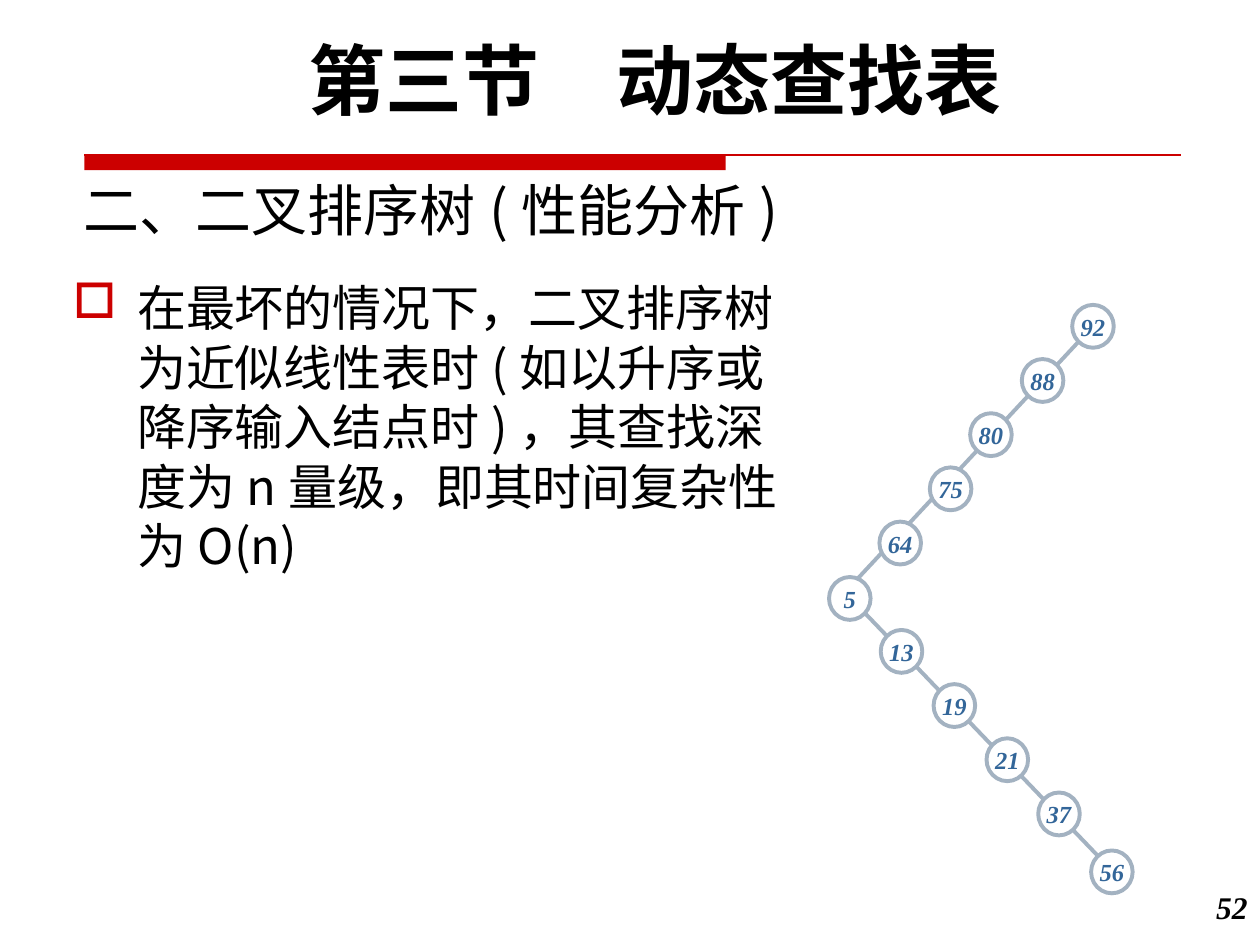
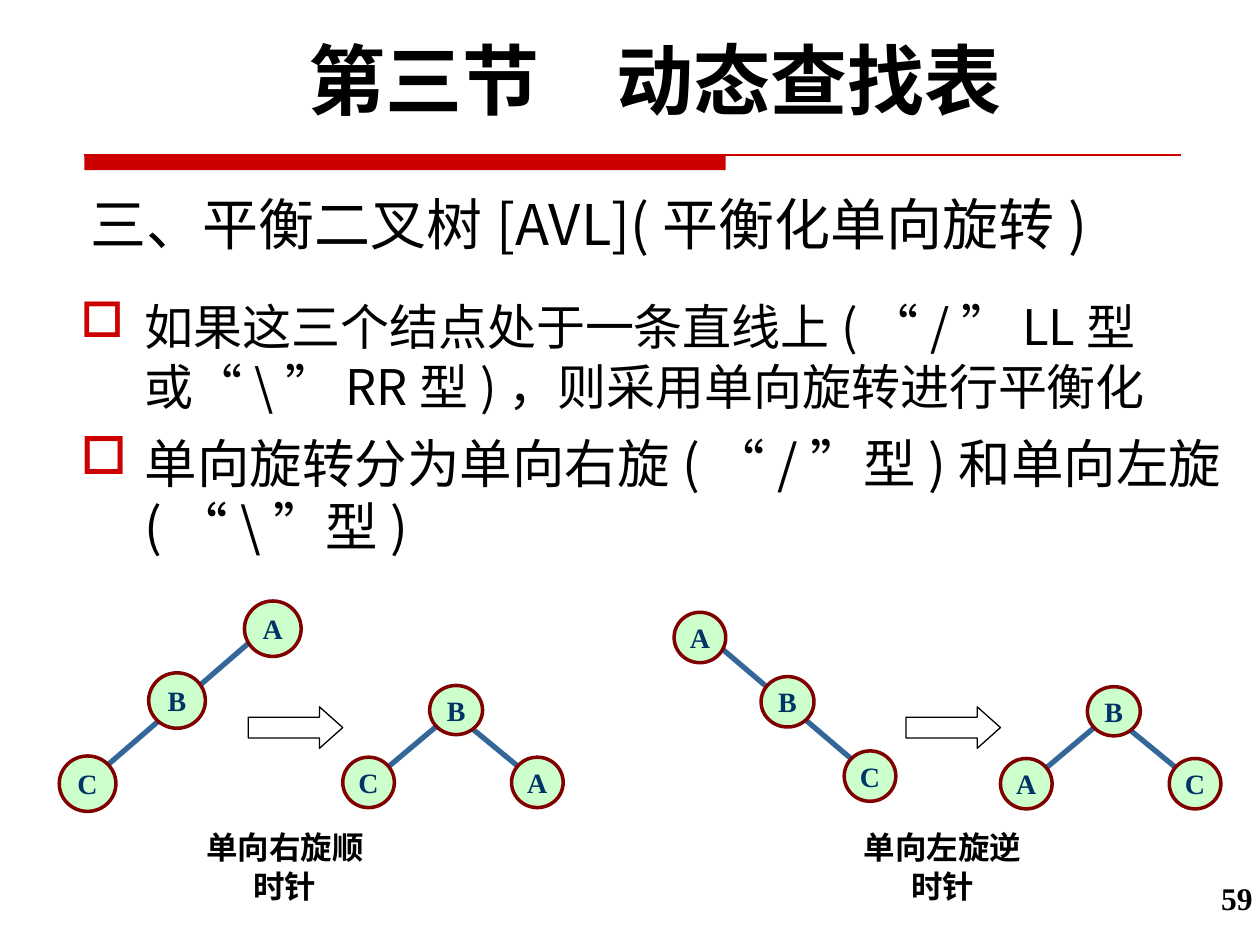
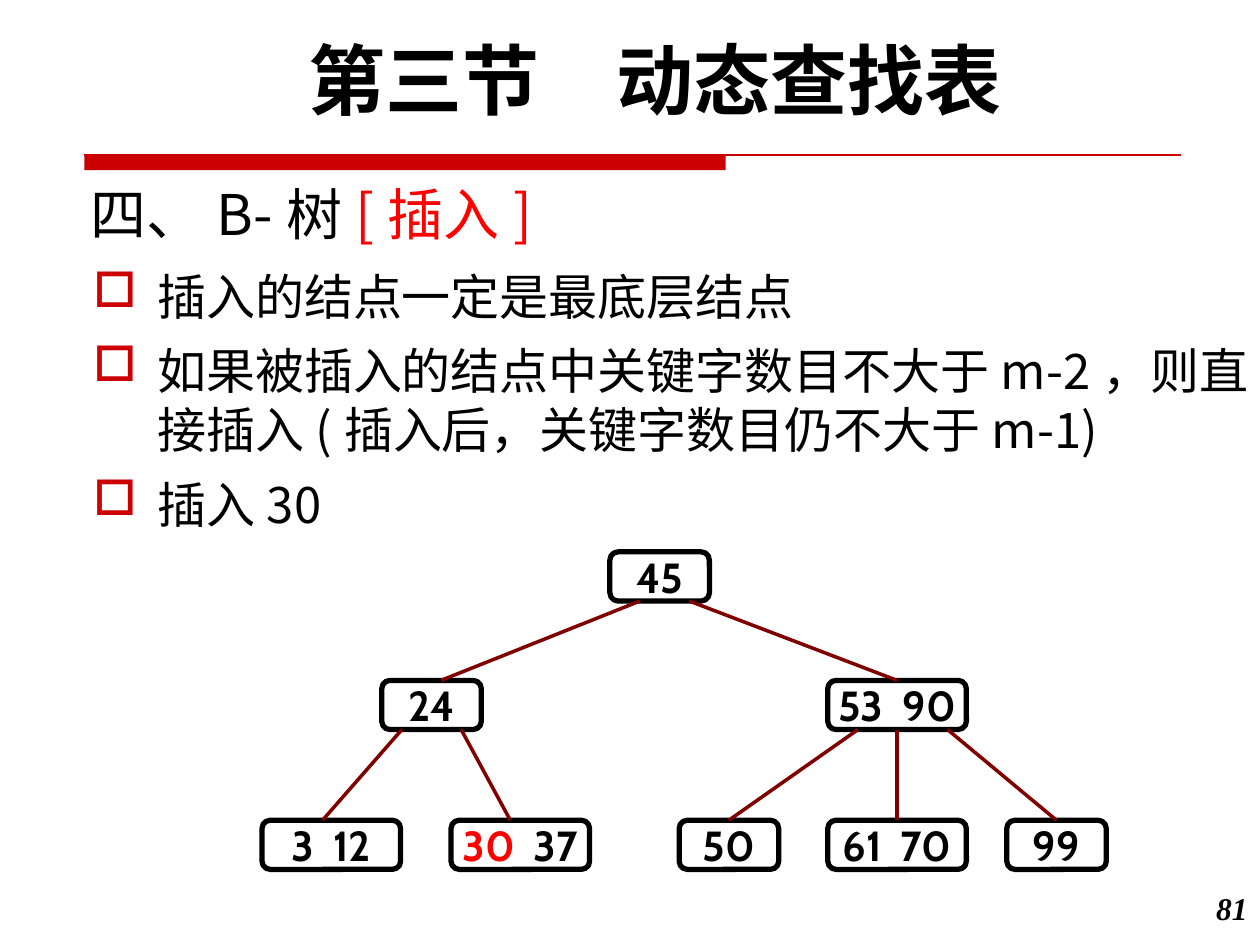
"""Build three slides on dynamic search tables."""
import itertools
from dataclasses import dataclass
from typing import NamedTuple

import lxml.etree
import pptx
import pptx.dml.color
import pptx.enum.shapes
import pptx.enum.text
import pptx.oxml.ns
import pptx.util

SCALE = 9144
KIND = pptx.enum.shapes.MSO_SHAPE
ALIGN = pptx.enum.text.PP_ALIGN
ANCHOR = pptx.enum.text.MSO_ANCHOR


@dataclass(frozen=True)
class Theme:
    """Colours, fonts and type sizes of the deck."""
    black: str = "000000"
    white: str = "FFFFFF"
    band: str = "CC0000"
    red: str = "FF0000"
    grey: str = "A3B2C1"
    blue: str = "336699"
    navy: str = "003366"
    mint: str = "CCFFCC"
    maroon: str = "800000"
    sans: str = "Noto Sans CJK SC"
    serif: str = "Times New Roman"
    round: str = "Cabin"
    banner: int = 44
    head: int = 32
    large: int = 30
    body: int = 28
    key: int = 24
    note: int = 18
    letter: int = 16
    digit: int = 14
    pitch: float = 1.21


THEME = Theme()


class Box(NamedTuple):
    """A place on the slide in px."""
    x: int
    y: int
    w: int
    h: int


class Line(NamedTuple):
    """A straight line in px."""
    x1: int
    y1: int
    x2: int
    y2: int


@dataclass(frozen=True)
class Type:
    """How a paragraph is set."""
    size: int
    font: str = THEME.sans
    color: str = THEME.black
    bold: bool = False
    slant: bool = False
    align: ALIGN = ALIGN.LEFT
    dot: bool = False


@dataclass(frozen=True)
class Para:
    """A paragraph, with an optional red part."""
    text: str
    type: Type
    red: str = ""


@dataclass(frozen=True)
class Style:
    """The look of a node and its links."""
    kind: KIND
    fill: str
    edge: str
    width: float
    link: str
    weight: float
    type: Type


class Node(NamedTuple):
    """A tree node with its label."""
    text: str
    box: Box
    red: str = ""


class Branch(NamedTuple):
    """A link from a parent's lower side to a child's upper side."""
    top: str
    low: str
    x1: int
    x2: int


BANNER = Type(THEME.banner, THEME.round, bold=True, align=ALIGN.CENTER)
HEAD = Type(THEME.head)
ITEM = Type(THEME.body, dot=True)
LARGE = Type(THEME.large, dot=True)
NOTE = Type(THEME.note, THEME.serif, bold=True, align=ALIGN.CENTER)
CHAIN = Style(KIND.OVAL, THEME.white, THEME.grey, 2.25, THEME.grey, 2.25,
              Type(THEME.digit, THEME.serif, THEME.blue, True, True, ALIGN.CENTER))
TURN = Style(KIND.OVAL, THEME.mint, THEME.maroon, 2, THEME.blue, 3,
             Type(THEME.letter, THEME.serif, THEME.navy, True, align=ALIGN.CENTER))
BTREE = Style(KIND.ROUNDED_RECTANGLE, "", THEME.black, 3, THEME.maroon, 2,
              Type(THEME.key, THEME.round, bold=True, align=ALIGN.CENTER))


def emu(*sizes: float) -> list[int]:
    """Turn px into EMU."""
    return [round(size * SCALE) for size in sizes]


def rgb(color: str) -> pptx.dml.color.RGBColor:
    """Read a hex colour."""
    return pptx.dml.color.RGBColor.from_string(color)


def add_tag(node, name: str, **pairs: str):
    """Append a drawing element to a node."""
    tag = lxml.etree.SubElement(node, pptx.oxml.ns.qn(name))
    for key, value in pairs.items():
        tag.set(key, value)
    return tag


def add_dot(para) -> None:
    """Give a paragraph its square bullet."""
    props = para._p.get_or_add_pPr()
    left = emu(51)[0]
    props.set("marL", str(left))
    props.set("indent", str(-left))
    add_tag(add_tag(props, "a:buClr"), "a:srgbClr", val=THEME.band)
    add_tag(props, "a:buChar", char="□")


def set_type(para, kind: Type) -> None:
    """Set the font and spacing of a paragraph."""
    para.alignment = kind.align
    para.line_spacing = pptx.util.Pt(round(kind.size * THEME.pitch))
    if kind.dot:
        add_dot(para)
    font = para.font
    font.size = pptx.util.Pt(kind.size)
    font.bold, font.italic = kind.bold, kind.slant
    font.color.rgb = rgb(kind.color)
    font.name = kind.font
    add_tag(font._element, "a:ea", typeface=THEME.sans)


def split(para: Para) -> list[str]:
    """Cut a text at its red part or its curly quotes."""
    if para.red:
        return [part for part in para.text.partition(para.red) if part]
    groups = itertools.groupby(para.text, lambda char: char in "“”")
    return ["".join(chars) for _, chars in groups]


def write(frame, *paras: Para) -> None:
    """Fill a text frame with paragraphs."""
    for rank, item in enumerate(paras):
        para = frame.add_paragraph() if rank else frame.paragraphs[0]
        if rank:
            para.space_before = pptx.util.Pt(round(item.type.size * 0.3, 1))
        set_type(para, item.type)
        for part in split(item):
            run = para.add_run()
            run.text = part
            if part == item.red:
                run.font.color.rgb = rgb(THEME.red)
            elif part in "“”":
                run.font.name = THEME.serif


def add_text(slide, box: Box, *paras: Para) -> None:
    """Add a wrapped text box."""
    frame = slide.shapes.add_textbox(*emu(*box)).text_frame
    frame.word_wrap = True
    write(frame, *paras)


def add_form(slide, kind: KIND, box: Box, fill: str, edge: str, width: float):
    """Add a plain preset shape."""
    form = slide.shapes.add_shape(kind, *emu(*box))
    form.shadow.inherit = False
    if fill:
        form.fill.solid()
        form.fill.fore_color.rgb = rgb(fill)
    else:
        form.fill.background()
    if edge:
        form.line.color.rgb = rgb(edge)
        form.line.width = pptx.util.Pt(width)
    else:
        form.line.fill.background()
    return form


def add_line(slide, line: Line, color: str, width: float):
    """Add a straight connector."""
    link = slide.shapes.add_connector(
        pptx.enum.shapes.MSO_CONNECTOR.STRAIGHT, *emu(*line))
    link.line.color.rgb = rgb(color)
    link.line.width = pptx.util.Pt(width)
    add_tag(link._element.spPr, "a:effectLst")
    return link


def add_node(slide, node: Node, style: Style):
    """Add a labelled tree node."""
    form = add_form(slide, style.kind, node.box, style.fill, style.edge, style.width)
    frame = form.text_frame
    frame.word_wrap = False
    frame.vertical_anchor = ANCHOR.MIDDLE
    write(frame, Para(node.text, style.type, node.red))
    return form


def add_tree(slide, style: Style, lines: list[Line], nodes: list[Node]) -> None:
    """Draw round nodes over their lines."""
    for line in lines:
        add_line(slide, line, style.link, style.weight)
    for node in nodes:
        add_node(slide, node, style)


def add_turn(slide, x: int, note: str) -> None:
    """Draw the arrow of a rotation and its note."""
    arrow = add_form(slide, KIND.RIGHT_ARROW, Box(x, 561, 75, 33), "", THEME.black, 0.75)
    arrow.adjustments[1] = 0.56
    add_text(slide, Box(x - 50, 652, 158, 71), Para(note, NOTE))


def add_fork(slide, x: int, y: int, left: str, right: str) -> None:
    """Draw a balanced tree with root B."""
    lines = [Line(x + 75, y + 32, x + 25, y + 74), Line(x + 100, y + 32, x + 145, y + 69)]
    nodes = [Node("B", Box(x + 69, y, 42, 39)),
             Node(left, Box(x, y + 57, 41, 40)),
             Node(right, Box(x + 134, y + 57, 41, 40))]
    add_tree(slide, TURN, lines, nodes)


def add_slide(deck, head: Para, box: Box, page: str, spot: Box, slant: bool = True):
    """Add a slide with its banner, band, heading and page number."""
    slide = deck.slides.add_slide(deck.slide_layouts[5])
    add_form(slide, KIND.RECTANGLE, Box(67, 123, 509, 12), THEME.band, "", 0)
    add_line(slide, Line(67, 123, 937, 123), THEME.band, 0.75)
    title = slide.shapes.title
    title.left, title.top, title.width, title.height = emu(*box)
    frame = title.text_frame
    frame.word_wrap = True
    frame.auto_size = pptx.enum.text.MSO_AUTO_SIZE.NONE
    frame.vertical_anchor = ANCHOR.BOTTOM
    write(frame, head)
    add_text(slide, Box(58, 21, 925, 84), Para("第三节\u3000动态查找表".replace("\u3000", "　"), BANNER))
    kind = Type(THEME.note, THEME.serif, bold=True, slant=slant, align=ALIGN.RIGHT)
    add_text(slide, spot, Para(page, kind))
    return slide


def draw_worst(deck) -> None:
    """Draw the worst case of a search tree."""
    slide = add_slide(deck, Para("二、二叉排序树(性能分析)", HEAD),
                      Box(56, 123, 728, 75), "52", Box(933, 699, 67, 50))
    add_text(slide, Box(48, 215, 602, 442), Para(
        "在最坏的情况下，二叉排序树为近似线性表时(如以升序或降序输入结点时)，"
        "其查找深度为n量级，即其时间复杂性为O(n)", ITEM))
    spots = [("92", 851, 242), ("88", 811, 285), ("80", 770, 328), ("75", 738, 371),
             ("64", 698, 414), ("5", 658, 458), ("13", 699, 500), ("19", 741, 543),
             ("21", 783, 586), ("37", 824, 629), ("56", 866, 675)]
    add_tree(slide, CHAIN, [Line(859, 268, 666, 475), Line(683, 483, 873, 681)],
             [Node(text, Box(x, y, 33, 34)) for text, x, y in spots])


def draw_turns(deck) -> None:
    """Draw the single rotations."""
    slide = add_slide(deck, Para("三、平衡二叉树[AVL](平衡化单向旋转)", HEAD),
                      Box(62, 139, 817, 70), "59", Box(937, 692, 67, 40), False)
    add_text(slide, Box(54, 230, 958, 220),
             Para("如果这三个结点处于一条直线上(“/”LL型或“\\”RR型)，则采用单向旋转进行平衡化", ITEM),
             Para("单向旋转分为单向右旋(“/”型)和单向左旋(“\\”型)", LARGE))
    add_tree(slide, TURN, [Line(199, 509, 81, 611)],
             [Node("A", Box(194, 477, 45, 44)), Node("B", Box(118, 534, 45, 44)),
              Node("C", Box(47, 600, 45, 44))])
    add_tree(slide, TURN, [Line(572, 514, 680, 606)],
             [Node("A", Box(535, 486, 41, 40)), Node("B", Box(604, 537, 42, 40)),
              Node("C", Box(670, 596, 41, 40))])
    add_fork(slide, 272, 544, "C", "A")
    add_fork(slide, 794, 545, "A", "C")
    add_turn(slide, 197, "单向右旋顺时针")
    add_turn(slide, 719, "单向左旋逆时针")


def draw_insert(deck) -> None:
    """Draw an insertion into a B-tree."""
    slide = add_slide(deck, Para("四、B-树[插入]", HEAD, "[插入]"),
                      Box(62, 110, 683, 91), "81", Box(933, 700, 67, 50))
    add_text(slide, Box(64, 206, 958, 224),
             Para("插入的结点一定是最底层结点", ITEM),
             Para("如果被插入的结点中关键字数目不大于m-2，则直接插入"
                  "(插入后，关键字数目仍不大于m-1)", ITEM),
             Para("插入30", ITEM))
    rows = {438: [("45", 484, 79)],
            540: [("24", 303, 79), ("53  90", 657, 110)],
            651: [("3  12", 208, 110), ("30  37", 358, 110), ("50", 539, 79),
                  ("61  70", 657, 110), ("99", 799, 79)]}
    nodes = {text: Node(text, Box(x, y, w, 39), "30" if text.startswith("30") else "")
             for y, row in rows.items() for text, x, w in row}
    forms = {text: add_node(slide, node, BTREE) for text, node in nodes.items()}
    links = [Branch("45", "24", 508, 350), Branch("45", "53  90", 547, 712),
             Branch("24", "3  12", 319, 256), Branch("24", "30  37", 366, 405),
             Branch("53  90", "50", 681, 579), Branch("53  90", "61  70", 712, 712),
             Branch("53  90", "99", 752, 838)]
    for link in links:
        top, low = nodes[link.top].box, nodes[link.low].box
        line = add_line(slide, Line(link.x1, top.y + top.h, link.x2, low.y),
                        BTREE.link, BTREE.weight)
        if abs(link.x1 - top.x - top.w / 2) <= 1:
            line.begin_connect(forms[link.top], 2)
        if abs(link.x2 - low.x - low.w / 2) <= 1:
            line.end_connect(forms[link.low], 0)


def main() -> None:
    """Build and save the deck."""
    deck = pptx.Presentation()
    deck.slide_width, deck.slide_height = emu(1000, 750)
    draw_worst(deck)
    draw_turns(deck)
    draw_insert(deck)
    deck.save("out.pptx")


if __name__ == "__main__":
    main()
